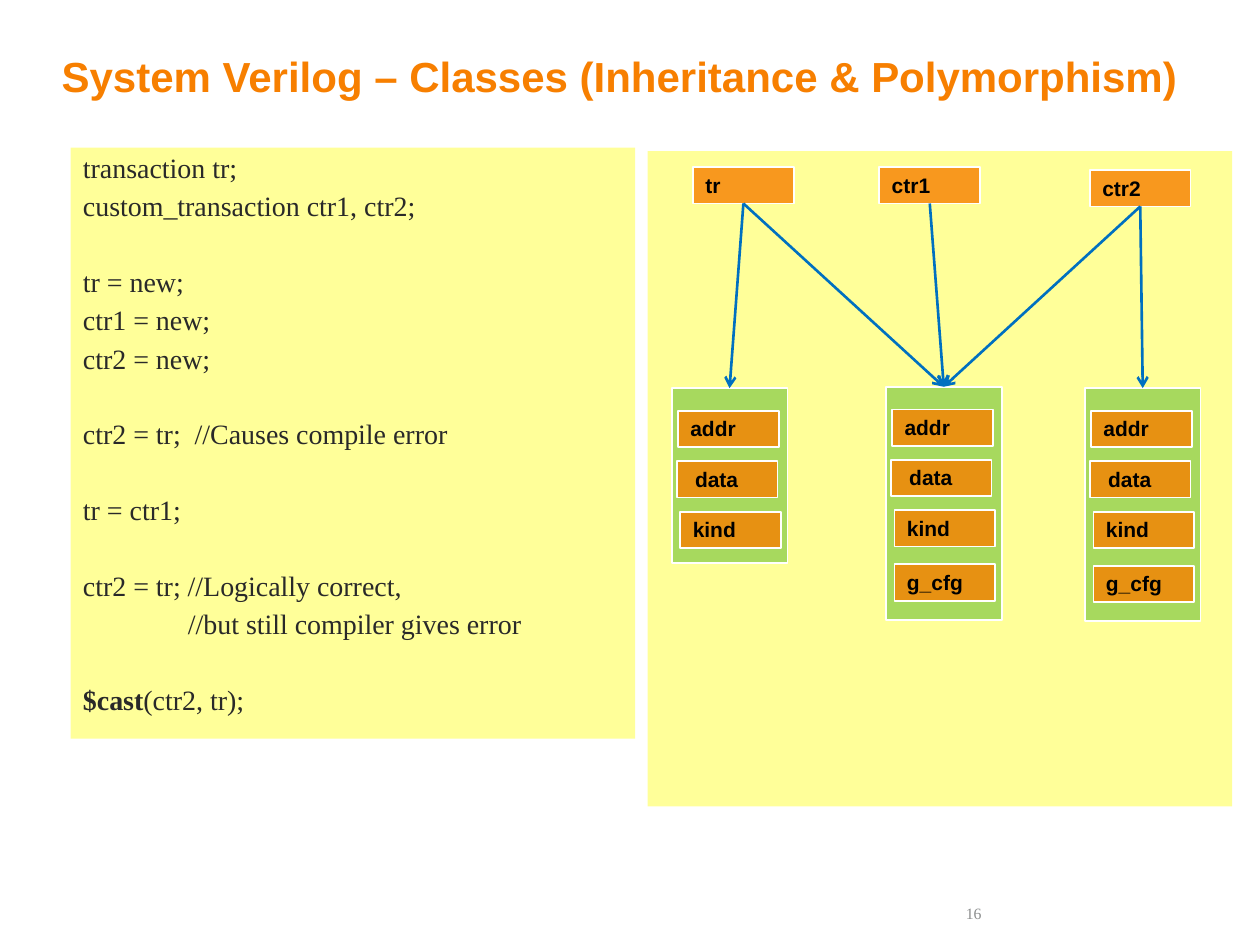
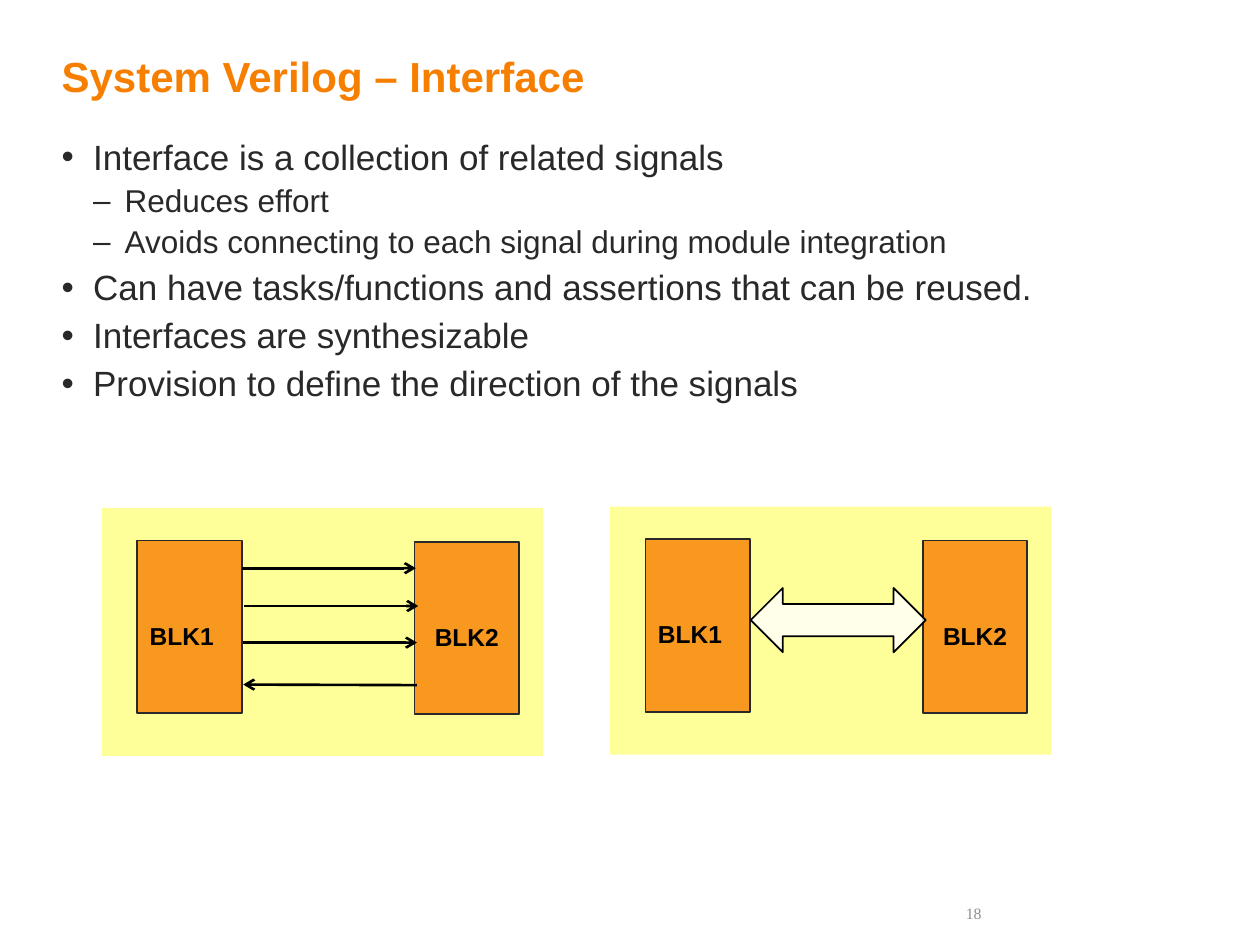
from lxml.etree import SubElement
from pptx import Presentation
from pptx.dml.color import RGBColor
from pptx.enum.shapes import MSO_CONNECTOR, MSO_SHAPE
from pptx.enum.text import MSO_ANCHOR as Anchor, MSO_AUTO_SIZE as AutoSize, PP_ALIGN as Align
from pptx.oxml.ns import qn
from pptx.util import Pt

# Shared look
ORANGE = RGBColor(0xF7, 0x7F, 0x00)
GREEN = RGBColor(0x92, 0xD0, 0x50)
YELLOW = RGBColor(0xFF, 0xFF, 0x99)
BLUE = RGBColor(0x00, 0x70, 0xC0)
INK = RGBColor(0x29, 0x29, 0x29)
GREY = RGBColor(0x8C, 0x8E, 0x8E)
BLACK = RGBColor(0x00, 0x00, 0x00)
WHITE = RGBColor(0xFF, 0xFF, 0xFF)
SANS, SERIF = "Arial", "Times New Roman"
CONTENT_LAYOUT, TITLE_LAYOUT = 1, 5

# Class diagram: handles (left, top), objects (left, top, number of fields)
HANDLES = {"tr": (396, 95.5), "ctr1": (502.5, 95.5), "ctr2": (622.8, 97.2)}
OBJECTS = [(383.8, 221.8, 3), (506.2, 221, 4), (619.9, 221.8, 4)]
REFERENCES = [("tr", 0), ("ctr1", 1), ("ctr2", 2), ("tr", 1), ("ctr2", 1)]
FIELDS = [("addr", 3.6, 13), ("data", 2.9, 41.8), ("kind", 5, 70.6), ("g_cfg", 5, 101.5)]
FIELD_WIDTH, FIELD_HEIGHT = 57.6, 20.8
OBJECT_WIDTH, OBJECT_HEIGHTS = 66.2, {3: 100, 4: 133.2}

# Code listing: groups of statements are set apart by a wider space
CODE_GROUPS = [
    ["transaction tr;", "custom_transaction ctr1, ctr2;"],
    ["tr = new;", "ctr1 = new;", "ctr2 = new;"],
    ["ctr2 = tr;  //Causes compile error"],
    ["tr = ctr1;"],
    ["ctr2 = tr; //Logically correct,", "//but still compiler gives error"],
    ["$cast(ctr2, tr);"],
]
CODE_SPACE, GROUP_SPACE = 4.7, 26

# Interface slide
INTERFACE_POINTS = [
    (0, "Interface is a collection of related signals"),
    (1, "Reduces effort"),
    (1, "Avoids connecting to each signal during module integration"),
    (0, "Can have tasks/functions and assertions that can be reused."),
    (0, "Interfaces are synthesizable"),
    (0, "Provision to define the direction of the signals"),
]
LEVELS = [(20, 5.8, 18), (18, 4.2, 36)]  # size, space before, left margin
SIGNALS = [
    ((138.2, 324.7), (237.6, 324.7)),
    ((139.7, 346.3), (239, 346.3)),
    ((139, 367.2), (238.3, 367.2)),
    ((238.3, 391.5), (139, 391.2)),
]


def set_font(font, name, size, color, bold=False):
    font.name, font.size, font.bold = name, Pt(size), bold
    font.color.rgb = color


def set_indent(para, margin, indent):
    properties = para._p.get_or_add_pPr()
    properties.set("marL", str(Pt(margin)))
    properties.set("indent", str(Pt(indent)))


def place(shape, left, top, width, height):
    shape.left, shape.top = Pt(left), Pt(top)
    shape.width, shape.height = Pt(width), Pt(height)


def add_page(deck, layout, title, number):
    page = deck.slides.add_slide(deck.slide_layouts[layout])
    heading = page.shapes.title
    place(heading, 28, 25.2, 656.6, 62.6)
    frame = heading.text_frame
    frame.text = title
    frame.vertical_anchor, frame.auto_size = Anchor.TOP, AutoSize.NONE
    para = frame.paragraphs[0]
    para.alignment = Align.LEFT
    set_font(para.font, SANS, 24, ORANGE, bold=True)

    footer = page.shapes.add_textbox(Pt(505.4), Pt(512.6), Pt(62.6), Pt(18)).text_frame
    footer.word_wrap = True
    footer.text = number
    footer.paragraphs[0].alignment = Align.RIGHT
    set_font(footer.paragraphs[0].font, SERIF, 9, GREY)
    return page


def add_box(shapes, area, fill, outline=None, opacity=100, kind=MSO_SHAPE.RECTANGLE):
    box = shapes.add_shape(kind, *(Pt(length) for length in area))
    box.shadow.inherit = False
    box.fill.solid()
    box.fill.fore_color.rgb = fill
    if opacity < 100:
        color = box.element.spPr.find(qn("a:solidFill"))[0]
        SubElement(color, qn("a:alpha"), val=str(opacity * 1000))
    if outline is None:
        box.line.fill.background()
    else:
        box.line.color.rgb = outline
        box.line.width = Pt(1)
    return box


def add_label_box(shapes, area, text, size, outline, align=Align.LEFT, left=7.2, bottom=3.6):
    box = add_box(shapes, area, ORANGE, outline, opacity=80)
    frame = box.text_frame
    frame.text = text
    frame.vertical_anchor = Anchor.BOTTOM
    frame.margin_left, frame.margin_bottom = Pt(left), Pt(bottom)
    para = frame.paragraphs[0]
    para.alignment = align
    set_font(para.font, SANS, size, BLACK, bold=True)


def add_arrow(page, start, end, color):
    points = (Pt(length) for length in (*start, *end))
    arrow = page.shapes.add_connector(MSO_CONNECTOR.STRAIGHT, *points)
    arrow.line.color.rgb = color
    arrow.line.width = Pt(1.5)
    properties = arrow.element.spPr
    SubElement(properties.find(qn("a:ln")), qn("a:tailEnd"), type="arrow")
    SubElement(properties, qn("a:effectLst"))


def add_code(page):
    box = add_box(page.shapes, (40.3, 84.4, 322.6, 337.7), YELLOW)
    frame = box.text_frame
    frame.vertical_anchor = Anchor.TOP
    para = frame.paragraphs[0]
    for group_index, group in enumerate(CODE_GROUPS):
        for line_index, line in enumerate(group):
            new_group = line_index == 0 and group_index > 0
            if group_index or line_index:
                para = frame.add_paragraph()
            para.alignment = Align.LEFT
            para.line_spacing = 0.9
            para.space_before = Pt(GROUP_SPACE if new_group else CODE_SPACE)
            set_font(para.font, SERIF, 16, INK)
            if line.startswith("//"):
                set_indent(para, 60, 0)
            else:
                set_indent(para, 18, -18)
            keyword, bracket, rest = line.partition("(")
            if line.startswith("$"):
                span = para.add_run()
                span.text = keyword
                span.font.bold = True
                line = bracket + rest
            para.add_run().text = line


def add_object(page, left, top, field_count):
    group = page.shapes.add_group_shape()
    area = (left, top, OBJECT_WIDTH, OBJECT_HEIGHTS[field_count])
    add_box(group.shapes, area, GREEN, WHITE, opacity=80)
    for name, across, down in FIELDS[:field_count]:
        field = (left + across, top + down, FIELD_WIDTH, FIELD_HEIGHT)
        add_label_box(group.shapes, field, name, 12, WHITE,
                      left=10.5 if name == "data" else 7.2)


def add_points(page):
    body = page.placeholders[1]
    place(body, 28, 76.3, 656.6, 185)
    frame = body.text_frame
    frame.auto_size = AutoSize.NONE
    for index, (level, text) in enumerate(INTERFACE_POINTS):
        para = frame.add_paragraph() if index else frame.paragraphs[0]
        size, space, margin = LEVELS[level]
        para.text, para.level = text, level
        para.line_spacing, para.space_before = 0.9, Pt(space)
        set_indent(para, margin, -18)
        set_font(para.font, SANS, size, INK)


def add_block_pair(page, left, top):
    add_box(page.shapes, (left, top, 252, 141.8), YELLOW)
    blocks = [("BLK1", 20.2, 18.7, Align.JUSTIFY), ("BLK2", 178.6, 19.4, Align.CENTER)]
    for name, across, down, align in blocks:
        area = (left + across, top + down, 59.8, 98.6)
        add_label_box(page.shapes, area, name, 14, INK, align, bottom=36)


def build_classes_page(deck):
    page = add_page(deck, TITLE_LAYOUT,
                    "System Verilog – Classes (Inheritance & Polymorphism)", "16")
    add_box(page.shapes, (370.1, 86.4, 334, 374.4), YELLOW)
    add_code(page)
    for name, (left, top) in HANDLES.items():
        add_label_box(page.shapes, (left, top, FIELD_WIDTH, FIELD_HEIGHT), name, 12, WHITE)
    for left, top, field_count in OBJECTS:
        add_object(page, left, top, field_count)
    # Each handle points from its bottom centre to an object's top centre
    for name, target in REFERENCES:
        left, top = HANDLES[name]
        object_left, object_top, _ = OBJECTS[target]
        add_arrow(page, (left + FIELD_WIDTH / 2, top + FIELD_HEIGHT),
                  (object_left + OBJECT_WIDTH / 2, object_top), BLUE)


def build_interface_page(deck):
    page = add_page(deck, CONTENT_LAYOUT, "System Verilog – Interface", "18")
    add_points(page)
    # Separate signals on the left, one interface on the right
    add_block_pair(page, 58.3, 290.2)
    for start, end in SIGNALS:
        add_arrow(page, start, end, BLACK)
    add_block_pair(page, 348.7, 289.5)
    add_box(page.shapes, (429, 336, 100, 36.7), WHITE, BLACK, opacity=80,
            kind=MSO_SHAPE.LEFT_RIGHT_ARROW)


def main():
    deck = Presentation()
    deck.slide_width, deck.slide_height = Pt(720), Pt(540)
    build_classes_page(deck)
    build_interface_page(deck)
    deck.save("out.pptx")


if __name__ == "__main__":
    main()
